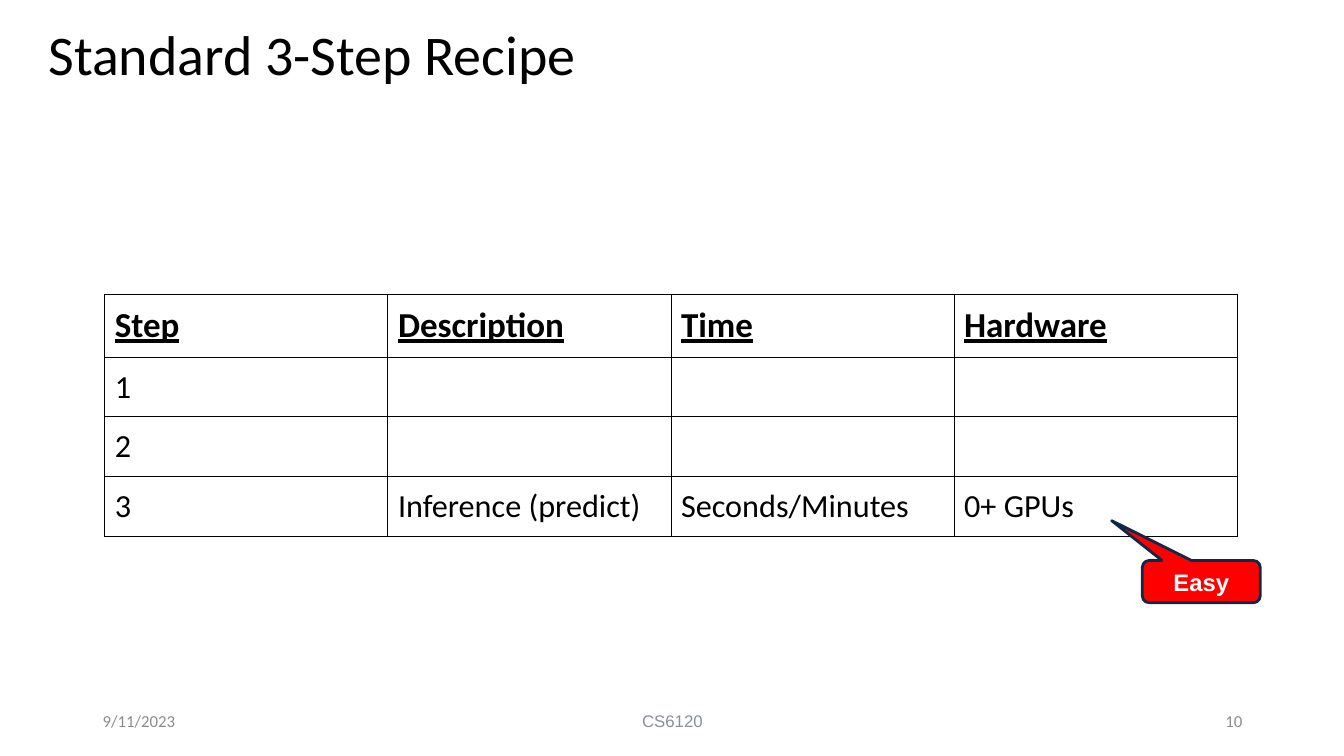
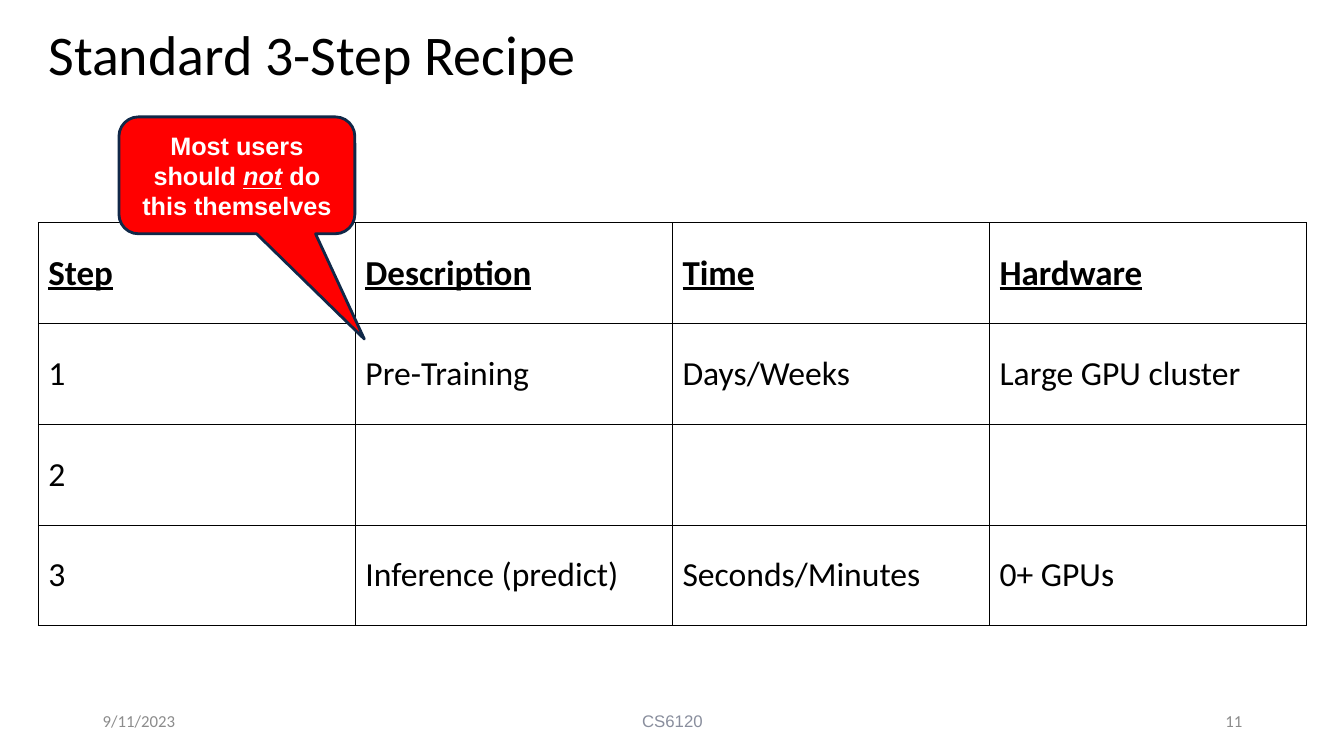
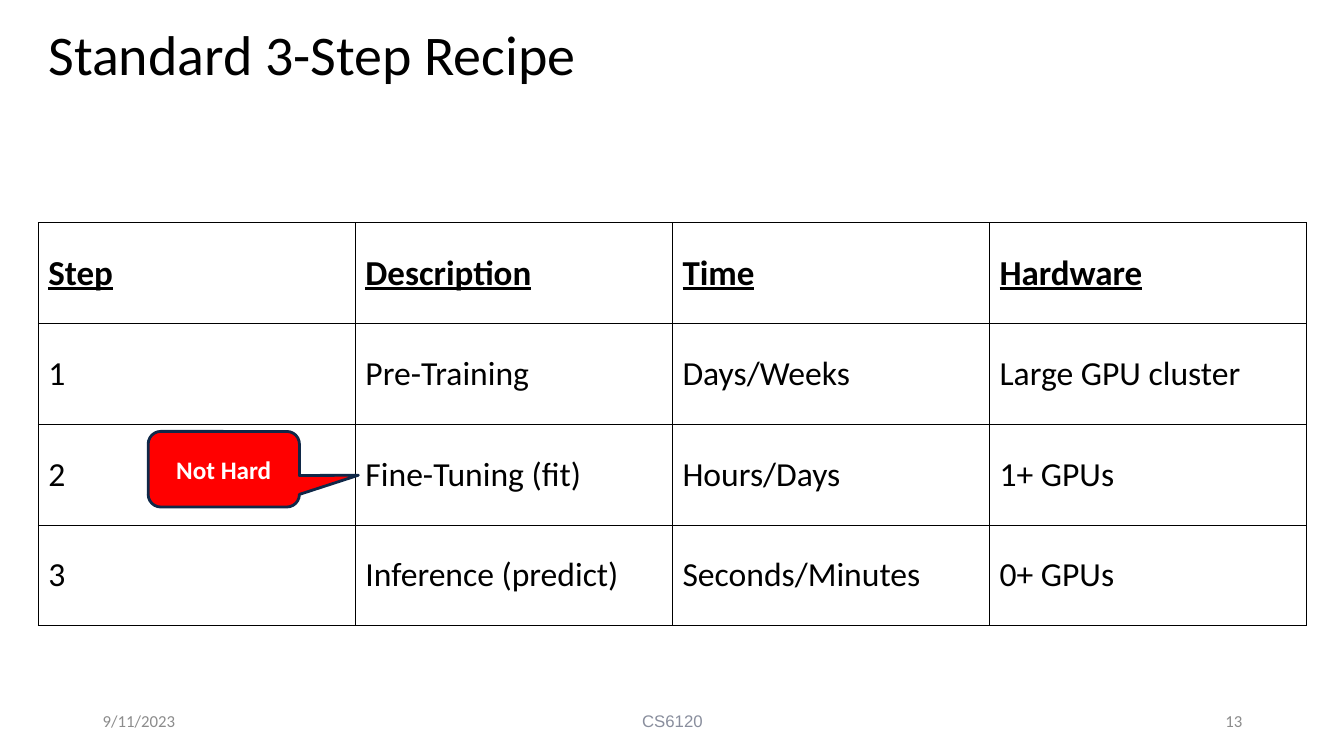
from dataclasses import dataclass
from typing import NamedTuple

from lxml import etree
from pptx import Presentation
from pptx.dml.color import RGBColor
from pptx.enum import shapes, text
from pptx.oxml import ns
from pptx.util import Inches, Pt

COLORS = {
    "ink": "000000",
    "date": "8C8C8C",
    "course": "898E9D",
    "callout": "FF0000",
    "outline": "102848",
    "callout_text": "FFFFFF",
}
BODY_FONT, ACCENT_FONT = "Calibri", "Arial"
TITLE = "Standard 3-Step Recipe"
HEADINGS = ("Step", "Description", "Time", "Hardware")
STEPS = {
    1: ("Pre-Training", "Days/Weeks", "Large GPU cluster"),
    2: ("Fine-Tuning (fit)", "Hours/Days", "1+ GPUs"),
    3: ("Inference (predict)", "Seconds/Minutes", "0+ GPUs"),
}


class Box(NamedTuple):
    left: float
    top: float
    width: float
    height: float

    def lengths(self) -> tuple:
        return tuple(Inches(side) for side in self)


class Style(NamedTuple):
    size: float
    color: str = "ink"
    font: str = BODY_FONT
    bold: bool = False
    italic: bool = False
    underline: bool = False


@dataclass
class Grid:
    box: Box
    body_size: float
    anchor: text.MSO_ANCHOR


@dataclass
class Callout:
    box: Box
    tip: tuple[float, float]
    runs: list[tuple[str, Style]]


@dataclass
class RecipeSlide:
    number: int
    shown_steps: set[int]
    grid: Grid
    callout: Callout


class FooterPart(NamedTuple):
    box: Box
    align: text.PP_ALIGN
    style: Style


TITLE_BOX = Box(0.38, 0.16, 12.58, 0.82)
TITLE_STYLE = Style(40)
HEADING_STYLE = Style(25, bold=True, underline=True)
DATE_STYLE = Style(12, "date")
DATE = FooterPart(Box(0.92, 6.95, 3, 0.4), text.PP_ALIGN.LEFT, DATE_STYLE)
COURSE = FooterPart(Box(4.42, 6.95, 4.5, 0.4), text.PP_ALIGN.CENTER,
                    Style(12, "course", ACCENT_FONT))
PAGE = FooterPart(Box(9.42, 6.95, 3, 0.4), text.PP_ALIGN.RIGHT, DATE_STYLE)

COMPACT_GRID = Grid(Box(1.04, 2.92, 11.23, 2.28), 23, text.MSO_ANCHOR.TOP)
FULL_GRID = Grid(Box(0.38, 2.21, 12.58, 4), 24, text.MSO_ANCHOR.MIDDLE)

EASY = Style(17, "callout_text", ACCENT_FONT, bold=True)
WARNING = Style(18, "callout_text", ACCENT_FONT, bold=True)
NOT_HARD = Style(18, "callout_text", bold=True)

SLIDES = [
    RecipeSlide(10, {3}, COMPACT_GRID,
                Callout(Box(11.33, 5.56, 1.17, 0.42), (-0.76, -1.44),
                        [("Easy", EASY)])),
    RecipeSlide(11, {1, 3}, FULL_GRID,
                Callout(Box(1.18, 1.16, 2.34, 1.16), (0.54, 1.4),
                        [("Most users should ", WARNING),
                         ("not", WARNING._replace(italic=True, underline=True)),
                         (" do this themselves", WARNING)])),
    RecipeSlide(13, {1, 2, 3}, FULL_GRID,
                Callout(Box(1.47, 4.28, 1.5, 0.75), (0.89, 0.08),
                        [("Not Hard", NOT_HARD)])),
]


def rgb(name: str) -> RGBColor:
    return RGBColor.from_string(COLORS[name])


def add_run(paragraph, words: str, style: Style) -> None:
    run = paragraph.add_run()
    run.text = words
    font = run.font
    font.name, font.size = style.font, Pt(style.size)
    font.bold, font.italic, font.underline = style.bold, style.italic, style.underline
    font.color.rgb = rgb(style.color)


def add_title(slide) -> None:
    title = slide.shapes.title
    title.left, title.top, title.width, title.height = TITLE_BOX.lengths()
    frame = title.text_frame
    frame.vertical_anchor = text.MSO_ANCHOR.MIDDLE
    frame.auto_size = text.MSO_AUTO_SIZE.NONE
    paragraph = frame.paragraphs[0]
    paragraph.alignment = text.PP_ALIGN.LEFT
    paragraph.line_spacing = 0.9
    add_run(paragraph, TITLE, TITLE_STYLE)


def add_footer_part(slide, part: FooterPart, words: str) -> None:
    frame = slide.shapes.add_textbox(*part.box.lengths()).text_frame
    frame.word_wrap = True
    frame.vertical_anchor = text.MSO_ANCHOR.MIDDLE
    frame.paragraphs[0].alignment = part.align
    add_run(frame.paragraphs[0], words, part.style)


def add_borders(cell) -> None:
    """Rule all four sides; must run before the cell's fill is set."""
    properties = cell._tc.get_or_add_tcPr()
    for side in ("lnL", "lnR", "lnT", "lnB"):
        line = etree.SubElement(properties, ns.qn(f"a:{side}"), w=str(Pt(0.75)))
        fill = etree.SubElement(line, ns.qn("a:solidFill"))
        etree.SubElement(fill, ns.qn("a:srgbClr"), val=COLORS["ink"])


def add_recipe_table(slide, grid: Grid, shown_steps: set[int]) -> None:
    blank = ("",) * (len(HEADINGS) - 1)
    rows = [HEADINGS] + [
        (str(step), *(details if step in shown_steps else blank))
        for step, details in STEPS.items()
    ]
    table = slide.shapes.add_table(len(rows), len(HEADINGS), *grid.box.lengths()).table
    table.first_row = table.horz_banding = False
    for row_index, row in enumerate(rows):
        style = Style(grid.body_size) if row_index else HEADING_STYLE
        for column_index, words in enumerate(row):
            cell = table.cell(row_index, column_index)
            add_borders(cell)
            cell.fill.background()
            cell.vertical_anchor = grid.anchor
            cell.margin_left = cell.margin_right = Inches(0.1)
            cell.margin_top = cell.margin_bottom = Inches(0.1)
            if words:
                add_run(cell.text_frame.paragraphs[0], words, style)


def add_callout(slide, callout: Callout) -> None:
    bubble = slide.shapes.add_shape(
        shapes.MSO_SHAPE.ROUNDED_RECTANGULAR_CALLOUT, *callout.box.lengths())
    bubble.adjustments[0], bubble.adjustments[1] = callout.tip
    bubble.shadow.inherit = False
    bubble.fill.solid()
    bubble.fill.fore_color.rgb = rgb("callout")
    bubble.line.color.rgb = rgb("outline")
    bubble.line.width = Pt(2)
    frame = bubble.text_frame
    frame.word_wrap = True
    frame.vertical_anchor = text.MSO_ANCHOR.MIDDLE
    frame.paragraphs[0].alignment = text.PP_ALIGN.CENTER
    for words, style in callout.runs:
        add_run(frame.paragraphs[0], words, style)


def main() -> None:
    deck = Presentation()
    deck.slide_width, deck.slide_height = Inches(13.33), Inches(7.5)
    title_only = deck.slide_layouts[5]
    for recipe in SLIDES:
        slide = deck.slides.add_slide(title_only)
        add_title(slide)
        add_recipe_table(slide, recipe.grid, recipe.shown_steps)
        add_callout(slide, recipe.callout)
        add_footer_part(slide, DATE, "9/11/2023")
        add_footer_part(slide, COURSE, "CS6120")
        add_footer_part(slide, PAGE, str(recipe.number))
    deck.save("out.pptx")


if __name__ == "__main__":
    main()
